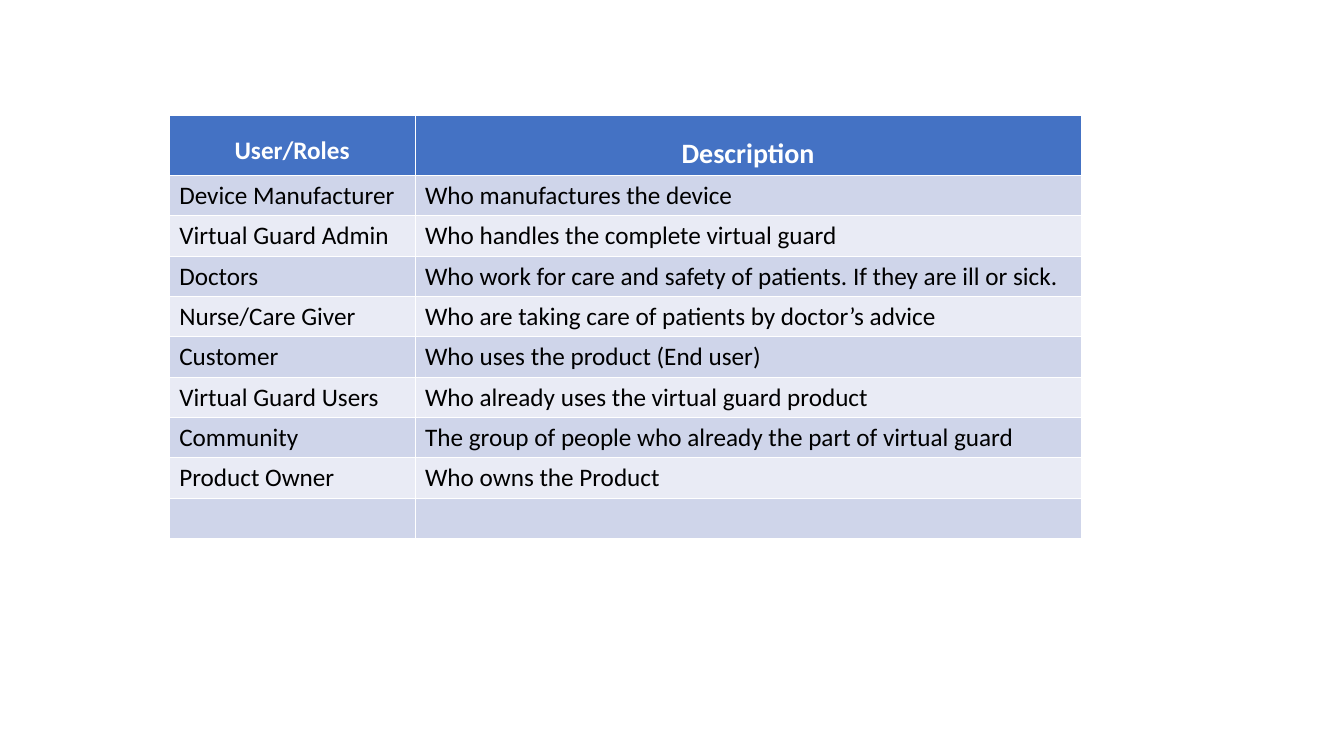
from typing import NamedTuple

from pptx import Presentation
from pptx.dml.color import RGBColor
from pptx.enum.text import PP_ALIGN
from pptx.oxml.ns import qn
from pptx.util import Inches, Pt
from lxml import etree

CENTER = PP_ALIGN.CENTER
LEFT = PP_ALIGN.LEFT

WHITE = RGBColor(0xFF, 0xFF, 0xFF)
BLACK = RGBColor(0x00, 0x00, 0x00)
HEADER_BLUE = RGBColor(0x44, 0x72, 0xC4)
BAND_DARK = RGBColor(0xCF, 0xD5, 0xEA)
BAND_LIGHT = RGBColor(0xE9, 0xEB, 0xF5)

FONT = "Calibri"
SLIDE_WIDTH, SLIDE_HEIGHT = 13.34, 7.5
TABLE_LEFT, TABLE_TOP = 1.68, 1.14
COLUMN_WIDTHS = (2.44, 6.61)
HEADER_HEIGHT, ROW_HEIGHT = 0.6, 0.4
BOTTOM_MARGIN = 0.04
THIN, THICK = 0.45, 1.47
BLANK_LAYOUT = 6


class Role(NamedTuple):
    name: str
    description: str


ROLES = [
    Role("Device Manufacturer", "Who manufactures the device"),
    Role("Virtual Guard Admin", "Who handles the complete virtual guard"),
    Role("Doctors", "Who work for care and safety of patients. If they are ill or sick."),
    Role("Nurse/Care Giver", "Who are taking care of patients by doctor’s advice"),
    Role("Customer", "Who uses the product (End user)"),
    Role("Virtual Guard Users", "Who already uses the virtual guard product"),
    Role("Community", "The group of people who already the part of virtual guard"),
    Role("Product Owner", "Who owns the Product"),
    Role("", ""),
]


def write_text(cell, text: str, *, size: float = 18, color: RGBColor = BLACK,
               bold: bool = False, align=LEFT, line_spacing: float = 1.0) -> None:
    paragraph = cell.text_frame.paragraphs[0]
    paragraph.alignment = align
    paragraph.line_spacing = line_spacing
    font = paragraph.font
    if text:
        run = paragraph.add_run()
        run.text = text
        font = run.font
    font.name = FONT
    font.size = Pt(size)
    font.bold = bold
    font.color.rgb = color


def style_cell(cell, fill: RGBColor, top: float = THIN, bottom: float = THIN) -> None:
    """Fill the cell and give it white borders, widths in points."""
    properties = cell._tc.get_or_add_tcPr()
    for tag, width in (("a:lnL", THIN), ("a:lnR", THIN), ("a:lnT", top), ("a:lnB", bottom)):
        line = etree.SubElement(properties, qn(tag), w=str(Pt(width)))
        solid = etree.SubElement(line, qn("a:solidFill"))
        etree.SubElement(solid, qn("a:srgbClr"), val=str(WHITE))
    cell.fill.solid()
    cell.fill.fore_color.rgb = fill
    cell.margin_bottom = Inches(BOTTOM_MARGIN)


def add_roles_table(slide) -> None:
    height = HEADER_HEIGHT + ROW_HEIGHT * len(ROLES)
    table = slide.shapes.add_table(
        len(ROLES) + 1, len(COLUMN_WIDTHS), Inches(TABLE_LEFT), Inches(TABLE_TOP),
        Inches(sum(COLUMN_WIDTHS)), Inches(height)).table
    for column, width in zip(table.columns, COLUMN_WIDTHS):
        column.width = Inches(width)

    # Header row
    table.rows[0].height = Inches(HEADER_HEIGHT)
    for index, (title, size) in enumerate((("User/Roles", 18), ("Description", 20))):
        cell = table.cell(0, index)
        style_cell(cell, HEADER_BLUE, bottom=THICK)
        write_text(cell, title, size=size, color=WHITE, bold=True,
                   align=CENTER, line_spacing=1.5)

    # Banded role rows
    for row, role in enumerate(ROLES, start=1):
        table.rows[row].height = Inches(ROW_HEIGHT)
        for index, text in enumerate(role):
            cell = table.cell(row, index)
            style_cell(cell, BAND_DARK if row % 2 else BAND_LIGHT,
                       top=THICK if row == 1 else THIN)
            write_text(cell, text)


def main() -> None:
    presentation = Presentation()
    presentation.slide_width = Inches(SLIDE_WIDTH)
    presentation.slide_height = Inches(SLIDE_HEIGHT)
    slide = presentation.slides.add_slide(presentation.slide_layouts[BLANK_LAYOUT])
    add_roles_table(slide)
    presentation.save("out.pptx")


if __name__ == "__main__":
    main()
